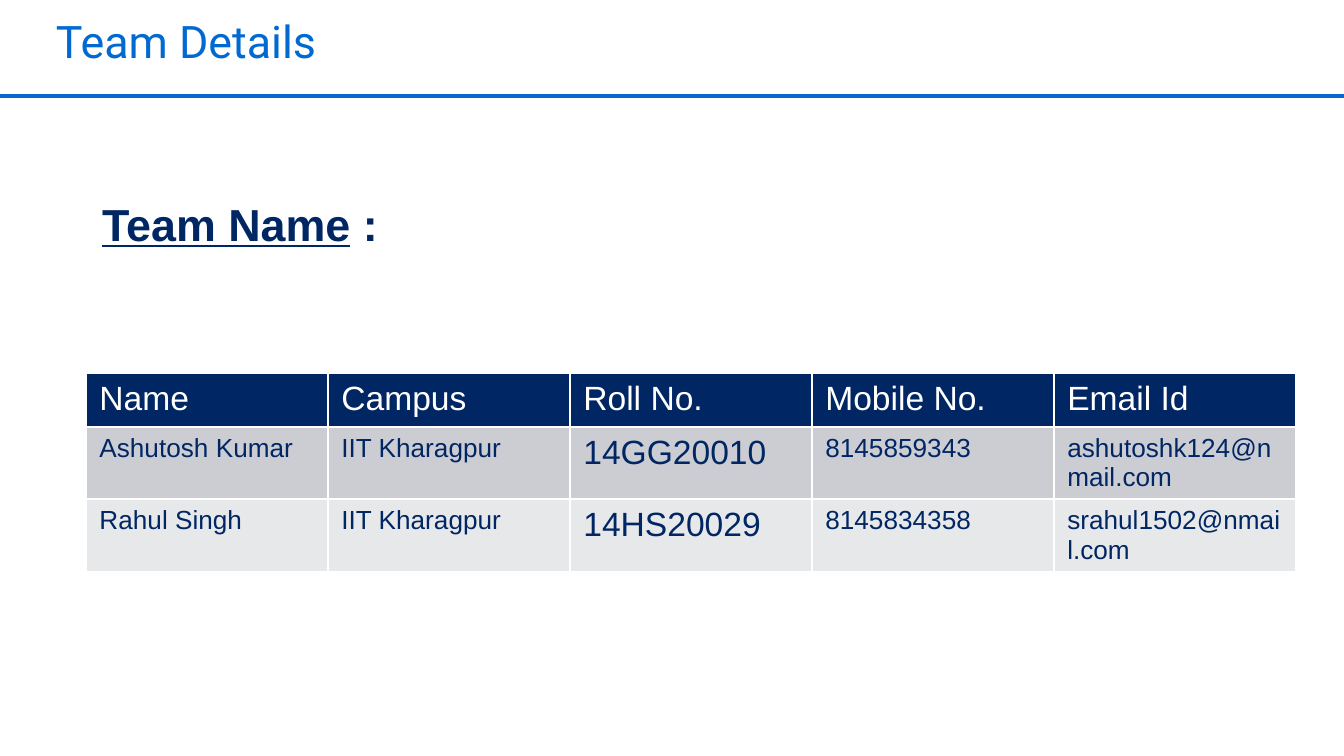
import pptx
import pptx.util
from pptx.dml.color import RGBColor
from pptx.enum.shapes import MSO_CONNECTOR
from pptx.enum.text import MSO_ANCHOR, MSO_AUTO_SIZE, PP_ALIGN
from pptx.oxml.ns import qn
from lxml import etree

PX_PER_INCH = 134.4
TITLE_BLUE = RGBColor(0x00, 0x6A, 0xD2)
RULE_BLUE = RGBColor(0x09, 0x68, 0xCE)
NAVY = RGBColor(0x00, 0x26, 0x63)
WHITE = RGBColor(0xFF, 0xFF, 0xFF)
BAND_FILLS = [RGBColor(0xCC, 0xCD, 0xD3), RGBColor(0xE7, 0xE8, 0xEA)]

HEADINGS = ["Name", "Campus", "Roll No.", "Mobile No.", "Email Id"]
MEMBERS = [
    ["Ashutosh Kumar", "IIT Kharagpur", "14GG20010", "8145859343",
     "ashutoshk124@nmail.com"],
    ["Rahul Singh", "IIT Kharagpur", "14HS20029", "8145834358",
     "srahul1502@nmail.com"],
]
ROLL_COLUMN = HEADINGS.index("Roll No.")
COLUMN_WIDTH = 242
ROW_HEIGHTS = [54, 72, 72]


def px(length):
    return pptx.util.Inches(length / PX_PER_INCH)


def place(shape, left, top, width, height):
    shape.left, shape.top = px(left), px(top)
    shape.width, shape.height = px(width), px(height)


def set_font(font, size, color, name="Arial", bold=False):
    font.name = name
    font.size = pptx.util.Pt(size)
    font.color.rgb = color
    font.bold = bold


def set_title(page, text):
    title = page.shapes.title
    place(title, 56, 23, 1210, 110)
    frame = title.text_frame
    frame.text = text
    frame.word_wrap = True
    frame.auto_size = MSO_AUTO_SIZE.NONE
    frame.vertical_anchor = MSO_ANCHOR.TOP
    frame.margin_left = frame.margin_right = 0
    frame.margin_top = frame.margin_bottom = 0
    para = frame.paragraphs[0]
    para.alignment = PP_ALIGN.LEFT
    para.line_spacing = 0.82
    set_font(para.font, 24, TITLE_BLUE, "Roboto")


def add_rule(page, top):
    rule = page.shapes.add_connector(
        MSO_CONNECTOR.STRAIGHT, 0, px(top), px(1344), px(top))
    rule.line.color.rgb = RULE_BLUE
    rule.line.width = pptx.util.Pt(2)
    etree.SubElement(rule._element.spPr, qn("a:effectLst"))


def add_team_name(page):
    box = page.shapes.add_textbox(px(89), px(190), px(531), px(67))
    frame = box.text_frame
    frame.word_wrap = True
    frame.auto_size = MSO_AUTO_SIZE.SHAPE_TO_FIT_TEXT
    para = frame.paragraphs[0]
    for text, underlined in [("Team Name", True), (" :", False)]:
        span = para.add_run()
        span.text = text
        set_font(span.font, 24, NAVY, bold=True)
        span.font.underline = underlined


def fill_cell(cell, text, size, color, fill):
    cell.text = text
    cell.fill.solid()
    cell.fill.fore_color.rgb = fill
    set_font(cell.text_frame.paragraphs[0].font, size, color)


def add_member_table(page):
    # The default table style supplies the white cell borders
    table = page.shapes.add_table(
        len(ROW_HEIGHTS), len(HEADINGS), px(86), px(373),
        px(COLUMN_WIDTH * len(HEADINGS)), px(sum(ROW_HEIGHTS))).table
    for column in table.columns:
        column.width = px(COLUMN_WIDTH)
    for row, height in zip(table.rows, ROW_HEIGHTS):
        row.height = px(height)

    # Header row
    for column, heading in enumerate(HEADINGS):
        fill_cell(table.cell(0, column), heading, 18, WHITE, NAVY)

    # Member rows, with larger roll numbers
    for row, (member, fill) in enumerate(zip(MEMBERS, BAND_FILLS), start=1):
        for column, text in enumerate(member):
            size = 18 if column == ROLL_COLUMN else 14
            fill_cell(table.cell(row, column), text, size, NAVY, fill)


def main():
    deck = pptx.Presentation()
    deck.slide_width, deck.slide_height = px(1344), px(756)
    page = deck.slides.add_slide(deck.slide_layouts[5])
    set_title(page, "Team Details")
    add_rule(page, 96)
    add_member_table(page)
    add_team_name(page)
    deck.save("out.pptx")


if __name__ == "__main__":
    main()
